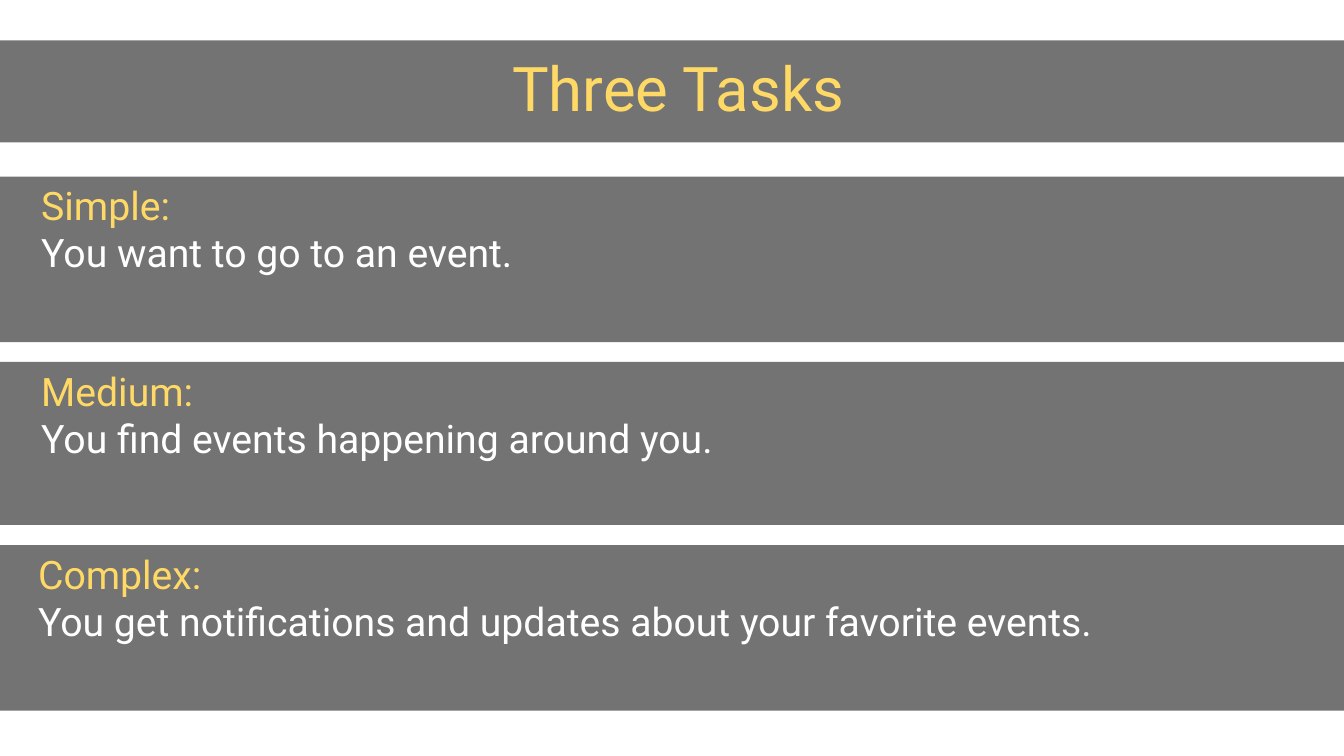
from lxml.etree import SubElement as Sub
from pptx import Presentation as Deck
from pptx.dml.color import RGBColor as RGB
from pptx.enum.shapes import MSO_SHAPE as Kind
from pptx.enum.text import MSO_ANCHOR as Anchor, PP_ALIGN as Align
from pptx.oxml.ns import qn
from pptx.util import Cm, Pt

BLACK = RGB(0, 0, 0)
WHITE = RGB(255, 255, 255)
GOLD = RGB(0xFF, 0xD9, 0x66)

HEAD = {"alignment": Align.CENTER, "line_spacing": 0.9}
BODY = {"alignment": Align.JUSTIFY}

# name, wording, top, height, left inset, right inset (cm)
TASKS = [
    ("Simple:", "You want to go to an event.", 4.45, 4.17, 2.08, 2.54),
    ("Medium:", "You find events happening around you.",
     9.12, 4.11, 2.08, 3.56),
    ("Complex:",
     "You get notifications and updates about your favorite events.",
     13.74, 4.17, 2.0, 3.81),
]


def apply(item, form):
    for key, value in form.items():
        setattr(item, key, value)


def add_bar(slide, left, top, width, height, form):
    """Add a see-through black bar and return its text frame."""
    bar = slide.shapes.add_shape(
        Kind.RECTANGLE, Cm(left), Cm(top), Cm(width), Cm(height))
    bar.shadow.inherit = False
    bar.line.fill.background()
    bar.fill.solid()
    bar.fill.fore_color.rgb = BLACK
    tint = bar.fill._xPr.find(qn("a:solidFill"))[0]
    Sub(tint, qn("a:alpha")).set("val", "55000")
    frame = bar.text_frame
    apply(frame, {"word_wrap": True, **form})
    return frame


def write(para, text, size, color, form):
    apply(para, form)
    run = para.add_run()
    run.text = text
    apply(run.font, {"name": "Roboto", "size": Pt(size)})
    run.font.color.rgb = color


def add_title(slide, text):
    frame = add_bar(slide, -2.41, 1.02, 39.01, 2.57,
                    {"vertical_anchor": Anchor.MIDDLE})
    write(frame.paragraphs[0], text, 44, GOLD, HEAD)


def add_task(slide, name, text, top, height, left, right):
    frame = add_bar(slide, -1.04, top, 38, height, {
        "vertical_anchor": Anchor.TOP,
        "margin_left": Cm(left),
        "margin_right": Cm(right),
    })
    write(frame.paragraphs[0], name, 28, GOLD, BODY)
    write(frame.add_paragraph(), text, 28, WHITE, BODY)


def main():
    deck = Deck()
    apply(deck, {"slide_width": Cm(33.87), "slide_height": Cm(19.05)})
    slide = deck.slides.add_slide(deck.slide_layouts[6])
    add_title(slide, "Three Tasks")
    for task in TASKS:
        add_task(slide, *task)
    deck.save("out.pptx")


if __name__ == "__main__":
    main()
